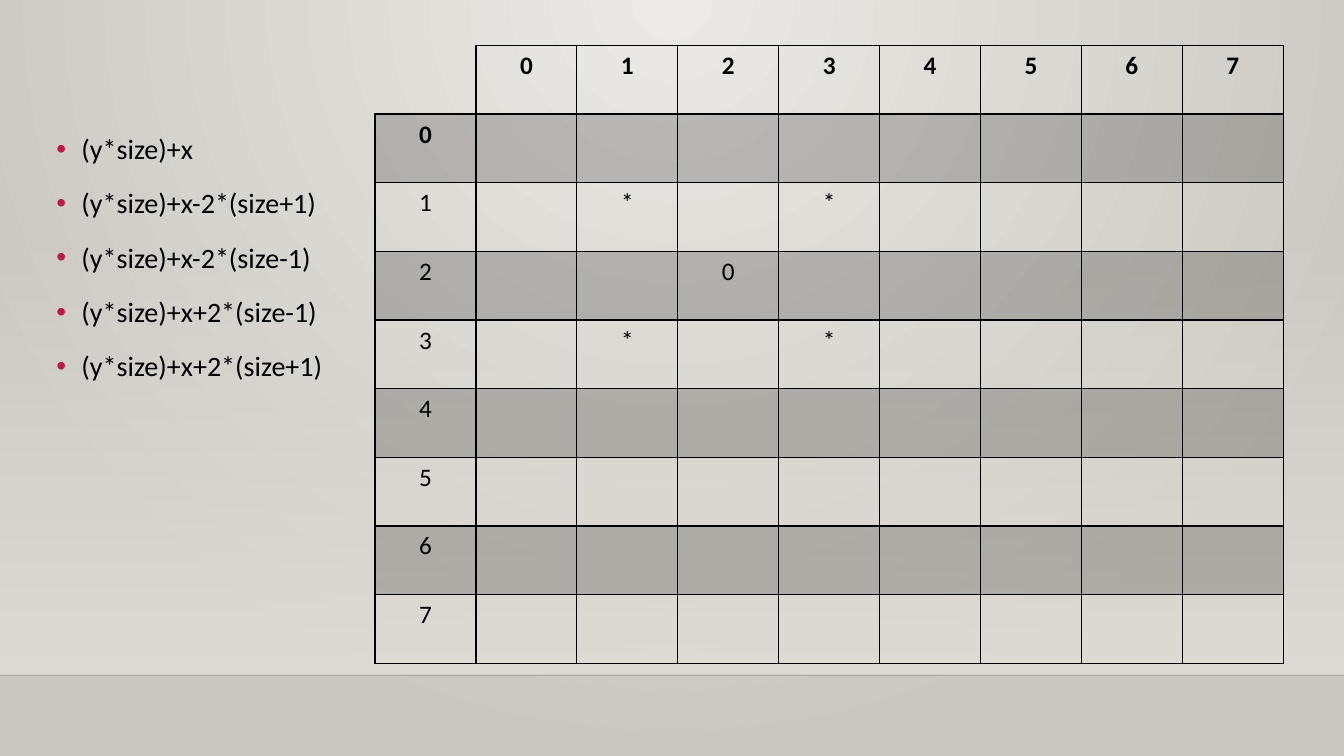
from lxml.etree import SubElement
from pptx import Presentation
from pptx.dml.color import RGBColor
from pptx.enum.shapes import MSO_CONNECTOR, MSO_SHAPE
from pptx.enum.text import PP_ALIGN
from pptx.oxml.ns import qn
from pptx.util import Inches, Pt

BLACK = RGBColor(0x00, 0x00, 0x00)
CRIMSON = RGBColor(0xB7, 0x1E, 0x42)
PALE = RGBColor(0xEC, 0xEA, 0xE7)
STONE = RGBColor(0xCA, 0xC7, 0xC1)
SAND = RGBColor(0xDF, 0xDB, 0xD5)


def set_alpha(fill_xml, percent):
    color = next(fill_xml.iter(qn("a:srgbClr")))
    SubElement(color, qn("a:alpha"), val=str(percent * 1000))


def add_border(cell, side, width):
    border = SubElement(cell._tc.get_or_add_tcPr(), qn(f"a:ln{side}"), w=str(Pt(width)))
    if width:
        solid = SubElement(border, qn("a:solidFill"))
        SubElement(solid, qn("a:srgbClr"), val=str(BLACK))
    else:
        SubElement(border, qn("a:noFill"))


prs = Presentation()
prs.slide_width = Inches(13.33)
prs.slide_height = Inches(7.5)
slide = prs.slides.add_slide(prs.slide_layouts[6])

backdrop = slide.background.fill
backdrop.gradient()
for stop, color in zip(backdrop.gradient_stops, (PALE, STONE)):
    stop.color.rgb = color
linear = next(slide.background._cSld.iter(qn("a:lin")))
gradient = linear.getparent()
gradient.remove(linear)
radial = SubElement(gradient, qn("a:path"), path="circle")
SubElement(radial, qn("a:fillToRect"), l="43000", t="0", r="43000", b="100000")

wall = slide.shapes.add_shape(MSO_SHAPE.RECTANGLE, 0, Inches(2.21), Inches(13.33), Inches(4.49))
wall.shadow.inherit = False
wall.line.fill.background()
wall.fill.gradient()
wall.fill.gradient_angle = 270
for stop in wall.fill.gradient_stops:
    stop.color.rgb = SAND
set_alpha(wall._element.spPr.find(qn("a:gradFill")), 0)

floor_edge = slide.shapes.add_connector(
    MSO_CONNECTOR.STRAIGHT, 0, Inches(6.7), Inches(13.33), Inches(6.7))
floor_edge.line.color.rgb = BLACK
floor_edge.line.width = Pt(1)
set_alpha(floor_edge.line._ln, 20)
SubElement(floor_edge._element.spPr, qn("a:effectLst"))

board = slide.shapes.add_table(
    9, 9, Inches(3.72), Inches(0.45), Inches(9.01), Inches(6.13)).table
board.first_row = False
board.horz_banding = False
marks = {(2, 2): "*", (2, 4): "*", (3, 3): "0", (4, 2): "*", (4, 4): "*"}
for index in range(9):
    marks[0, index + 1] = marks[index + 1, 0] = str(index)

for row in range(9):
    for column in range(9):
        cell = board.cell(row, column)
        corner = row == column == 0
        outer = 0 if corner else 1
        add_border(cell, "L", outer)
        add_border(cell, "R", 1)
        add_border(cell, "T", 2 if row == 1 and column else outer)
        add_border(cell, "B", 2 if row == 0 and column else 1)
        if row % 2:
            cell.fill.solid()
            cell.fill.fore_color.rgb = BLACK
            set_alpha(cell._tc.tcPr.find(qn("a:solidFill")), 20)
        else:
            cell.fill.background()
        if (row, column) in marks and row < 9 and column < 9:
            cell.text_frame.text = marks[row, column]
            label = cell.text_frame.paragraphs[0]
            label.alignment = PP_ALIGN.CENTER
            label.font.name = "Calibri"
            label.font.size = Pt(18)
            label.font.bold = row == 0 or (row, column) == (1, 0)
            label.font.color.rgb = BLACK

formulas = slide.shapes.add_textbox(
    Inches(0.46), Inches(1.19), Inches(3.38), Inches(3.77)).text_frame
formulas.word_wrap = True
formulas.text = "\n".join([
    "(y*size)+x",
    "(y*size)+x-2*(size+1)",
    "(y*size)+x-2*(size-1)",
    "(y*size)+x+2*(size-1)",
    "(y*size)+x+2*(size+1)",
])
for position, formula in enumerate(formulas.paragraphs):
    formula.line_spacing = 1.2
    formula.space_before = Pt(10 if position else 0)
    properties = formula._p.get_or_add_pPr()
    properties.set("marL", str(Inches(0.25)))
    properties.set("indent", str(Inches(-0.25)))
    bullet_color = SubElement(properties, qn("a:buClr"))
    SubElement(bullet_color, qn("a:srgbClr"), val=str(CRIMSON))
    SubElement(properties, qn("a:buFont"), typeface="Arial")
    SubElement(properties, qn("a:buChar"), char="•")
    formula.font.name = "Calibri"
    formula.font.size = Pt(20)
    formula.font.color.rgb = BLACK

prs.save("out.pptx")
